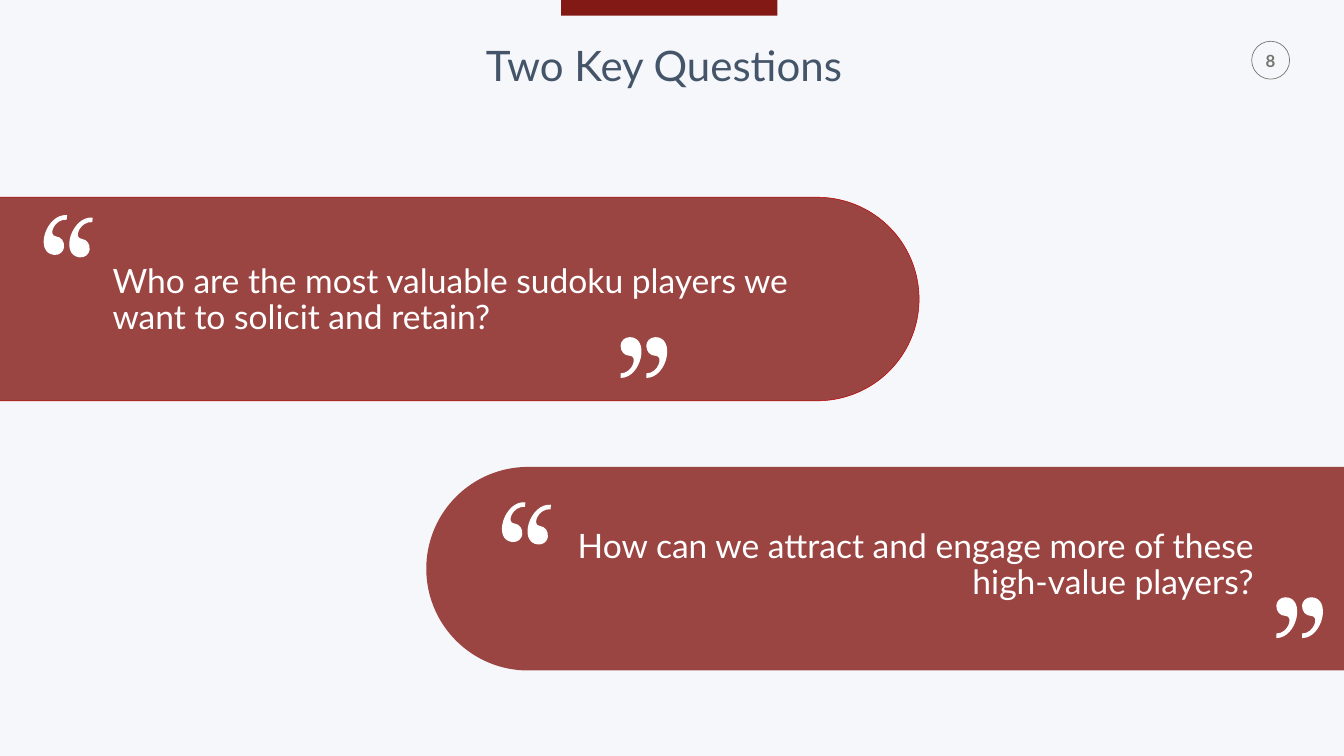
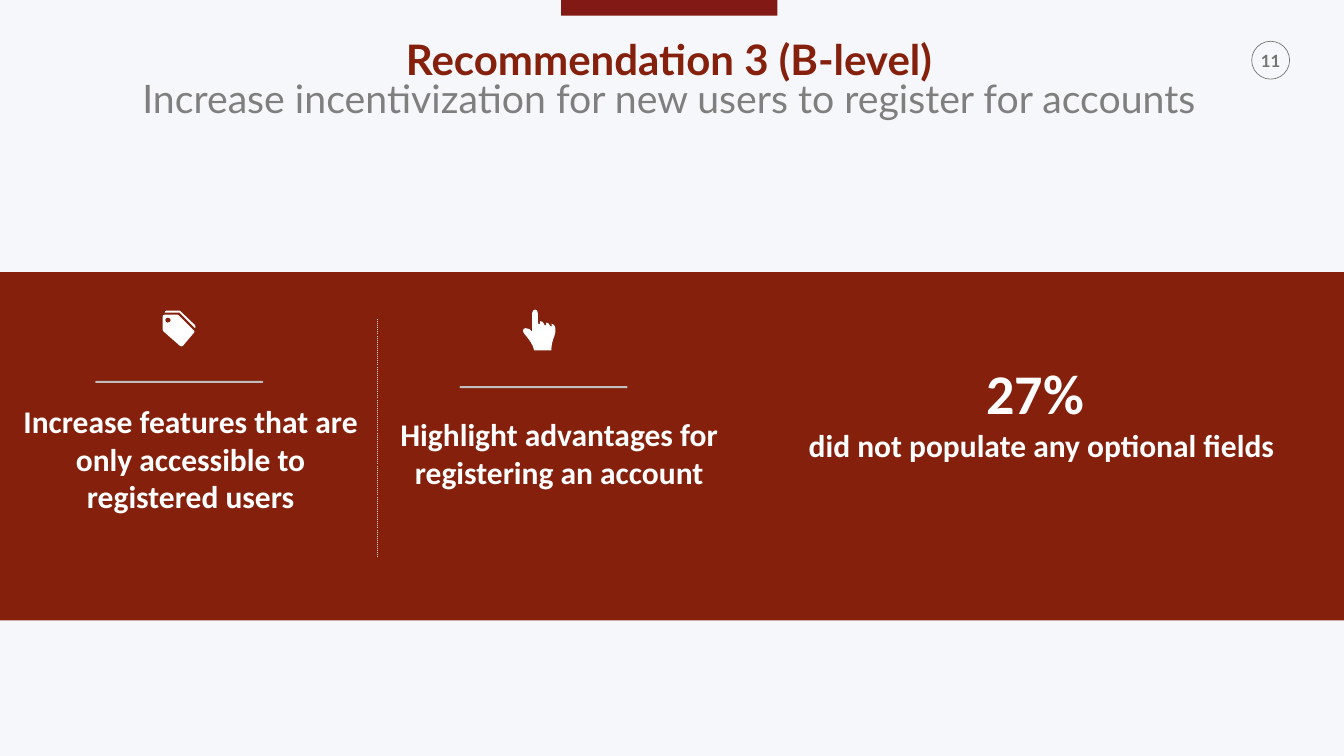
import lxml.etree
import pptx
import pptx.dml.color
import pptx.enum.dml
import pptx.enum.shapes
import pptx.enum.text
import pptx.oxml.ns
import pptx.util

Cm = pptx.util.Cm
Pt = pptx.util.Pt
qn = pptx.oxml.ns.qn
SHAPES = pptx.enum.shapes.MSO_SHAPE
ALIGN = pptx.enum.text.PP_ALIGN
ANCHOR = pptx.enum.text.MSO_ANCHOR

COLORS = {
    "background": "F6F7FA",
    "tab": "831915",
    "pill_edge": "C00000",
    "brick": "85200C",
    "title": "445469",
    "subtitle": "7F7F7F",
    "number": "737572",
    "rule": "BFBFBF",
    "divider": "D8D8D8",
    "white": "FFFFFF",
}
WIDTH, HEIGHT = 67.72, 38.1
NARROW_MARGINS = (0.25, 0.13)
WIDE_MARGINS = (0.51, 0.25)

# Outlines: a size, then contours of a start point, lines (x, y) and cubic curves (6 numbers).
OUTLINE_UNIT = Cm(0.0254)


def comma(x):
    return [(x + 18, 0), (x + 7, 0, x, 9, x, 17), (x, 28, x + 7, 37, x + 18, 37),
            (x + 35, 37, x + 24, 72, x, 72), (x, 81), (x + 42, 81, x + 59, 0, x + 18, 0)]


QUOTE = (109, 81), [comma(0), comma(51)]
HAND = (67, 81), [[
    (20, 7), (20, 44), (17, 40, 12, 36, 7, 37), (1, 37, 0, 44, 5, 49),
    (13, 58, 22, 70, 24, 81), (58, 81), (58, 60, 65, 55, 66, 44),
    (67, 36, 65, 29, 58, 28), (59, 31), (59, 32, 59, 33, 58, 34),
    (57, 34, 55, 33, 55, 32), (54, 30), (53, 27, 51, 26, 47, 26), (48, 29),
    (48, 30, 47, 32, 46, 32), (45, 32, 44, 31, 44, 30), (43, 28),
    (42, 24, 40, 24, 35, 23), (36, 27), (37, 30, 31, 32, 31, 23), (31, 7),
    (31, 3, 29, 0, 26, 0), (22, 0, 20, 3, 20, 7),
]]
TAG_BACK = [
    (64, 35), (33, 4), (4, 4), (4, 2, 5, 0, 8, 0), (33, 0),
    (34, 0, 35, 1, 36, 2), (64, 29), (65, 30, 65, 31, 65, 32),
    (65, 33, 65, 34, 64, 35),
]
TAG_FRONT = [
    (29, 8), (30, 8, 31, 9, 32, 10), (61, 39), (62, 39, 62, 40, 63, 41),
    (63, 42, 62, 44, 62, 44), (40, 70), (38, 71, 38, 71, 37, 71),
    (36, 71, 35, 71, 34, 70), (1, 41), (0, 40, 0, 39, 0, 38), (0, 12),
    (0, 10, 1, 8, 4, 8),
]
TAG_HOLE = [
    (10, 24), (13, 24, 16, 22, 16, 19), (16, 16, 13, 14, 10, 14),
    (7, 14, 5, 16, 5, 19), (5, 22, 7, 24, 10, 24),
]
TAG = (65, 71), [TAG_BACK, TAG_FRONT, TAG_HOLE]


def color(name):
    return pptx.dml.color.RGBColor.from_string(COLORS[name])


def style(shape, fill=None, line=None, line_width=1):
    shape.shadow.inherit = False
    if fill:
        shape.fill.solid()
        shape.fill.fore_color.rgb = color(fill)
    else:
        shape.fill.background()
    if line:
        shape.line.color.rgb = color(line)
        shape.line.width = Pt(line_width)
    else:
        shape.line.fill.background()


def add_shape(page, kind, left, top, width, height, **look):
    shape = page.shapes.add_shape(kind, Cm(left), Cm(top), Cm(width), Cm(height))
    style(shape, **look)
    return shape


def add_step(outline, kind, numbers=()):
    step = lxml.etree.SubElement(outline, qn(kind))
    for x, y in zip(numbers[::2], numbers[1::2]):
        lxml.etree.SubElement(step, qn("a:pt"), x=str(x), y=str(y))


def add_outline(page, drawing, left, top, rotation=0):
    """Build a freeform of the drawing's size, then give it the curved contours."""
    (width, height), contours = drawing
    builder = page.shapes.build_freeform(0, 0, scale=OUTLINE_UNIT)
    builder.add_line_segments([(width, 0), (width, height), (0, height)])
    shape = builder.convert_to_shape(Cm(left), Cm(top))
    outline = shape._element.spPr.find(".//" + qn("a:path"))
    for step in list(outline):
        outline.remove(step)
    for start, *steps in contours:
        add_step(outline, "a:moveTo", start)
        for numbers in steps:
            add_step(outline, "a:lnTo" if len(numbers) == 2 else "a:cubicBezTo", numbers)
        add_step(outline, "a:close")
    shape.rotation = rotation
    style(shape, fill="white")


def add_text(page, left, top, width, height, lines, align=ALIGN.CENTER,
             anchor=ANCHOR.TOP, margins=NARROW_MARGINS, spacing=None, wrap=True):
    """Add a text box; each line is (text, size, font, colour, bold)."""
    box = page.shapes.add_textbox(Cm(left), Cm(top), Cm(width), Cm(height))
    frame = box.text_frame
    frame.word_wrap = wrap
    frame.vertical_anchor = anchor
    frame.margin_left = frame.margin_right = Cm(margins[0])
    frame.margin_top = frame.margin_bottom = Cm(margins[1])
    for index, (text, size, font, ink, bold) in enumerate(lines):
        para = frame.add_paragraph() if index else frame.paragraphs[0]
        para.alignment = align
        if spacing:
            para.line_spacing = spacing
        span = para.add_run()
        span.text = text
        span.font.size = Pt(size)
        span.font.name = font
        span.font.bold = bold
        span.font.color.rgb = color(ink)


def add_page(deck, number):
    page = deck.slides.add_slide(deck.slide_layouts[6])
    page.background.fill.solid()
    page.background.fill.fore_color.rgb = color("background")
    add_text(page, 62.99, 2.29, 2.06, 1.55, [(number, 24, "Lato", "number", True)],
             margins=WIDE_MARGINS, wrap=False)
    add_shape(page, SHAPES.OVAL, 63.07, 2.08, 1.91, 1.91, line="number")
    add_shape(page, SHAPES.RECTANGLE, 28.27, 0, 10.9, 0.79, fill="tab")
    return page


def add_title(page, left, top, width, height, lines):
    add_text(page, left, top, width, height, lines, spacing=0.8)


def add_pill(page, left, top, length, rotation, line=None):
    """Add a see-through band with one round end, turned on its side."""
    pill = add_shape(page, SHAPES.ROUND_2_SAME_RECTANGLE, left, top, 10.26, length,
                     fill="tab", line=line, line_width=0.75)
    pill.adjustments[0] = 0.5
    pill.adjustments[1] = 0
    pill.rotation = rotation
    fill = pill._element.spPr.find(qn("a:solidFill"))
    lxml.etree.SubElement(fill[0], qn("a:alpha"), val="80000")


def add_quotation(page, left, top, text, align, open_at, close_at):
    add_text(page, left, top, 38.28, 6.99, [(text, 48, "Lato", "white", False)],
             align=align, anchor=ANCHOR.MIDDLE, margins=WIDE_MARGINS, spacing=0.9)
    add_outline(page, QUOTE, *close_at)
    add_outline(page, QUOTE, *open_at, rotation=185.5)


def add_divider(page, x, top, bottom):
    divider = page.shapes.add_connector(
        pptx.enum.shapes.MSO_CONNECTOR.STRAIGHT, Cm(x), Cm(top), Cm(x), Cm(bottom))
    divider.line.color.rgb = color("divider")
    divider.line.width = Pt(0.75)
    divider.line.dash_style = pptx.enum.dml.MSO_LINE.ROUND_DOT
    properties = divider._element.spPr
    properties.find(".//" + qn("a:prstDash")).set("val", "dot")
    lxml.etree.SubElement(properties, qn("a:effectLst"))


def add_action(page, icon, icon_at, rule_at, text_at, text):
    add_outline(page, icon, *icon_at)
    rule = add_shape(page, SHAPES.ROUNDED_RECTANGLE, *rule_at, 8.46, 0.1, fill="rule")
    rule.adjustments[0] = 0.5
    add_text(page, *text_at, 17.53, 2.18, [(text, 45, "Calibri", "white", True)])


def build_questions(deck):
    page = add_page(deck, "8")
    add_title(page, 20.22, 2.36, 26.47, 2.31,
              [("Two Key Questions", 60, "Lato", "title", False)])
    add_pill(page, 17.75, -8.36, 46.86, 90, line="pill_edge")
    add_quotation(page, 5.16, 11.66,
                  "Who are the most valuable sudoku players we want to solicit and retain?",
                  ALIGN.LEFT, (1.81, 10.83), (31.27, 16.99))
    add_pill(page, 39.5, 5.51, 46.3, 270)
    add_quotation(page, 25.4, 25.02,
                  "How can we attract and engage more of these high-value players?",
                  ALIGN.RIGHT, (24.9, 25.3), (64.31, 30.1))


def build_recommendation(deck):
    page = add_page(deck, "11")
    add_title(page, 4.4, 2.03, 58.62, 4.37, [
        ("Recommendation 3 (B-level)", 60, "Lato", "brick", True),
        ("Increase incentivization for new users to register for accounts",
         56, "Lato", "subtitle", False),
    ])
    add_shape(page, SHAPES.RECTANGLE, 0, 13.72, WIDTH, 17.55, fill="brick")
    add_divider(page, 19, 16.08, 28.07)
    add_action(page, TAG, (8.2, 15.65), (4.8, 19.2), (0.84, 20.12),
               "Increase features that are only accessible to registered users")
    add_action(page, HAND, (26.31, 15.6), (23.16, 19.46), (19.41, 20.8),
               "Highlight advantages for registering an account")
    add_text(page, 38.56, 17.96, 27.84, 2.18, [
        ("27% ", 80, "Calibri", "white", True),
        ("did not populate any optional fields", 45, "Calibri", "white", True),
    ])


def main():
    deck = pptx.Presentation()
    deck.slide_width = Cm(WIDTH)
    deck.slide_height = Cm(HEIGHT)
    build_questions(deck)
    build_recommendation(deck)
    deck.save("out.pptx")


if __name__ == "__main__":
    main()
